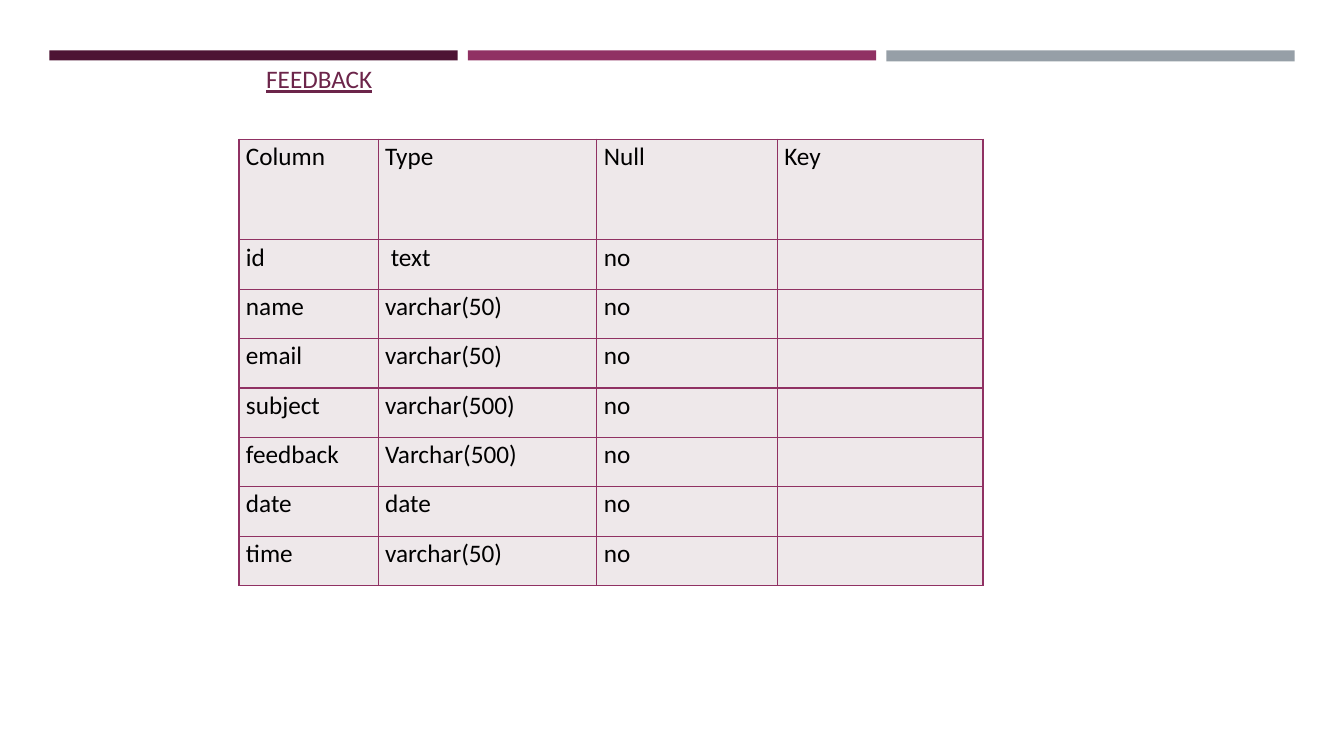
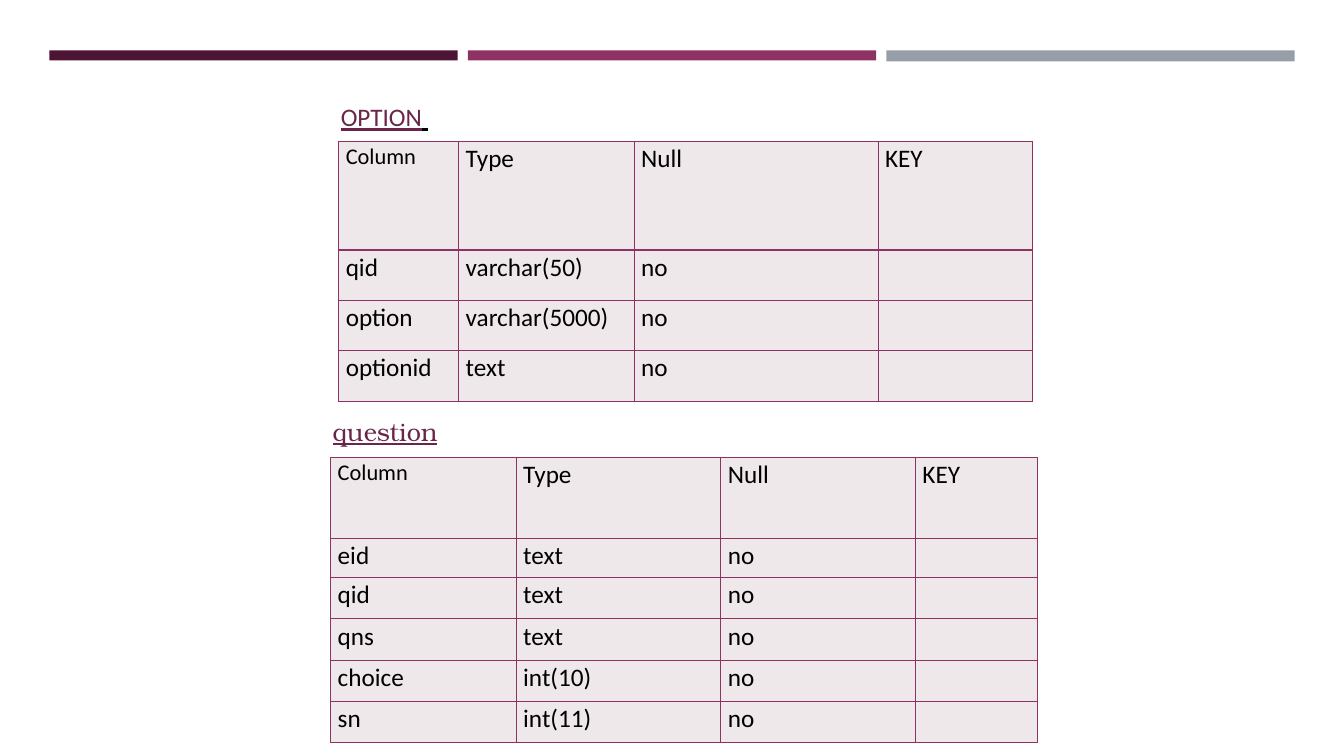
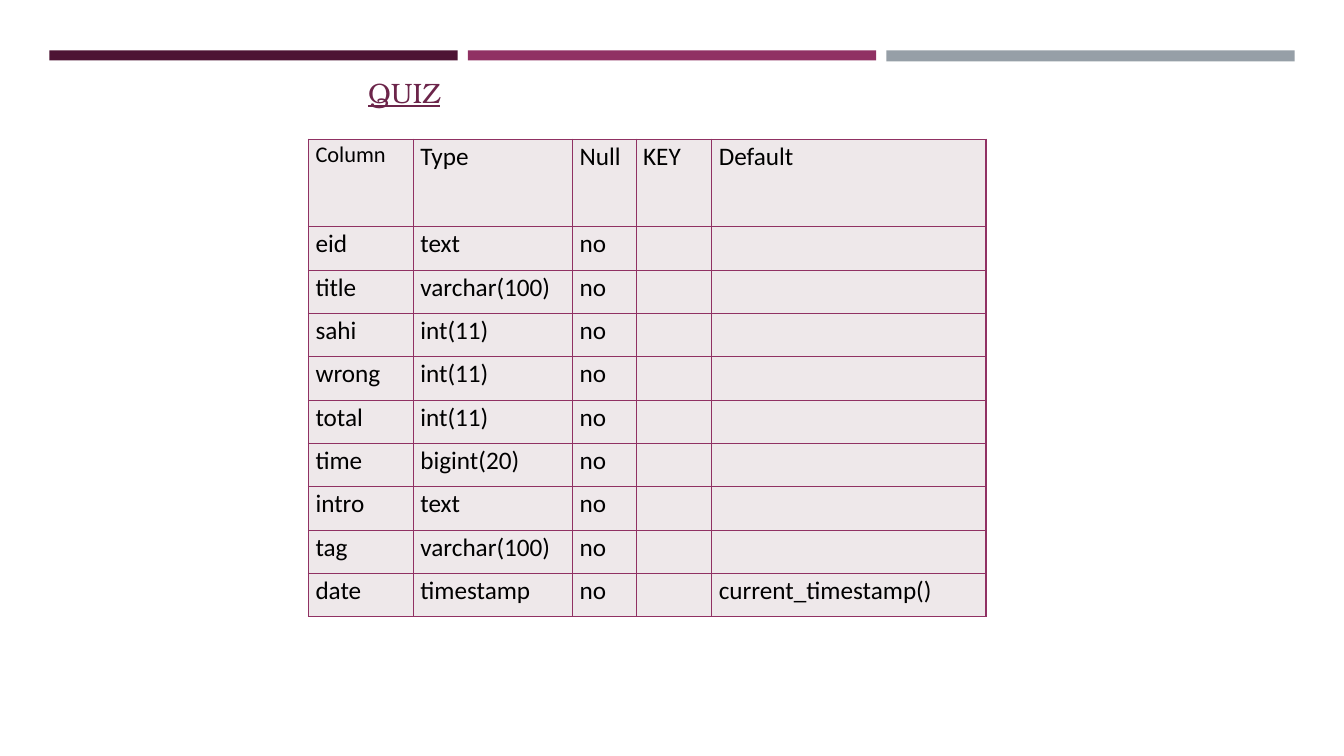
from dataclasses import dataclass

from lxml import etree
from pptx import Presentation
from pptx.dml.color import RGBColor
from pptx.enum.shapes import MSO_SHAPE
from pptx.enum.text import MSO_ANCHOR, MSO_AUTO_SIZE, PP_ALIGN
from pptx.oxml.ns import qn
from pptx.util import Inches, Pt

RECTANGLE = MSO_SHAPE.RECTANGLE
TOP = MSO_ANCHOR.TOP
NO_AUTOFIT = MSO_AUTO_SIZE.NONE
LEFT = PP_ALIGN.LEFT
TITLE_ONLY = 5
BORDER_SIDES = ("a:lnL", "a:lnR", "a:lnT", "a:lnB")


@dataclass(frozen=True)
class Theme:
    plum: str = "4D1434"
    magenta: str = "903163"
    gray: str = "969FA7"
    heading: str = "6C254A"
    text: str = "000000"
    cell: str = "EEE8EA"
    sans: str = "Calibri"
    serif: str = "TeX Gyre Bonum"
    small: int = 16
    body: int = 18
    large: int = 20
    border: int = 1
    line_spacing: float = 1.07


THEME = Theme()


def color(value):
    return RGBColor.from_string(value)


def format_font(font, name, size, value):
    font.name = name
    font.size = Pt(size)
    font.color.rgb = color(value)


def add_bands(slide, layout, left=0.49, top=0.5, width=4.05, gap=0.1):
    bands = ((THEME.plum, 0.1), (THEME.magenta, 0.1), (THEME.gray, 0.11))
    for index, (fill, height) in enumerate(bands):
        band = slide.shapes.add_shape(
            RECTANGLE,
            Inches(left + index * (width + gap)),
            Inches(top),
            Inches(width),
            Inches(height),
        )
        band.shadow.inherit = False
        band.fill.solid()
        band.fill.fore_color.rgb = color(fill)
        band.line.fill.background()
        band.name = f"Band {index + 1}"
        band.element.nvSpPr.cNvPr.set("id", str(100 + index))
        layout.shapes.element.append(band.element)


def format_heading(shape, box, text, font_name, size):
    shape.left, shape.top, shape.width, shape.height = map(Inches, box)
    frame = shape.text_frame
    frame.word_wrap = True
    frame.auto_size = NO_AUTOFIT
    frame.vertical_anchor = TOP
    paragraph = frame.paragraphs[0]
    paragraph.alignment = LEFT
    format_font(paragraph.font, font_name, size, THEME.heading)
    paragraph.font.underline = True
    paragraph.add_run().text = text
    return paragraph


def set_borders(cell):
    properties = cell._tc.get_or_add_tcPr()
    for index, side in enumerate(BORDER_SIDES):
        line = etree.Element(qn(side), w=str(Pt(THEME.border)))
        fill = etree.SubElement(line, qn("a:solidFill"))
        etree.SubElement(fill, qn("a:srgbClr"), val=THEME.magenta)
        properties.insert(index, line)


def format_cell(cell, text, size):
    cell.margin_left = cell.margin_right = Inches(0.07)
    cell.margin_top = cell.margin_bottom = 0
    cell.fill.solid()
    cell.fill.fore_color.rgb = color(THEME.cell)
    set_borders(cell)
    cell.text = text
    paragraph = cell.text_frame.paragraphs[0]
    paragraph.line_spacing = THEME.line_spacing
    format_font(paragraph.font, THEME.sans, size, THEME.text)


def add_schema_table(slide, left, top, widths, heights, records, first_size=THEME.small):
    table = slide.shapes.add_table(
        len(records),
        len(widths),
        Inches(left),
        Inches(top),
        Inches(sum(widths)),
        Inches(sum(heights)),
    ).table
    table.first_row = False
    table.horz_banding = False
    for column, width in zip(table.columns, widths):
        column.width = Inches(width)
    for row, height, record in zip(table.rows, heights, records):
        row.height = Inches(height)
        for index, cell in enumerate(row.cells):
            text = record[index] if index < len(record) else ""
            format_cell(cell, text, THEME.body)
    table.cell(0, 0).text_frame.paragraphs[0].font.size = Pt(first_size)


def fill_feedback(slide):
    format_heading(
        slide.shapes.title, (2.54, 0.58, 1.98, 0.71), "FEEDBACK", THEME.sans, THEME.body
    )
    records = (
        ("Column", "Type", "Null", "Key"),
        ("id", " text", "no"),
        ("name", "varchar(50)", "no"),
        ("email", "varchar(50)", "no"),
        ("subject", "varchar(500)", "no"),
        ("feedback", "Varchar(500)", "no"),
        ("date", "date", "no"),
        ("time", "varchar(50)", "no"),
    )
    add_schema_table(
        slide, 2.37, 1.38, (1.38, 2.17, 1.79, 2.04), [1] + [0.49] * 7, records, THEME.body
    )


def fill_option_and_question(slide):
    heading = format_heading(
        slide.shapes.title, (3.28, 0.96, 8.49, 0.71), "OPTION", THEME.sans, THEME.body
    )
    space = heading.add_run()
    space.text = " "
    space.font.color.rgb = color(THEME.text)
    option_records = (
        ("Column", "Type", "Null", "KEY"),
        ("qid", "varchar(50)", "no"),
        ("option", "varchar(5000)", "no"),
        ("optionid", "text", "no"),
    )
    add_schema_table(
        slide, 3.36, 1.4, (1.19, 1.74, 2.42, 1.53), [1.08] + [0.5] * 3, option_records
    )
    question_box = (3.2, 4.08, 1.26, 0.4)
    question = slide.shapes.add_textbox(*map(Inches, question_box))
    format_heading(question, question_box, "question", THEME.serif, THEME.body)
    question_records = (
        ("Column", "Type", "Null", "KEY"),
        ("eid", "text", "no"),
        ("qid", "text", "no"),
        ("qns", "text", "no"),
        ("choice", "int(10)", "no"),
        ("sn", "int(11)", "no"),
    )
    add_schema_table(
        slide, 3.28, 4.54, (1.84, 2.03, 1.93, 1.21), [0.8, 0.39] + [0.41] * 4, question_records
    )


def fill_quiz(slide):
    format_heading(
        slide.shapes.title, (3.55, 0.7, 0.92, 0.44), "QUIZ", THEME.serif, THEME.large
    )
    records = (
        ("Column", "Type", "Null", "KEY", "Default"),
        ("eid", "text", "no"),
        ("title", "varchar(100)", "no"),
        ("sahi", "int(11)", "no"),
        ("wrong", "int(11)", "no"),
        ("total", "int(11)", "no"),
        ("time", "bigint(20)", "no"),
        ("intro", "text", "no"),
        ("tag", "varchar(100)", "no"),
        ("date", "timestamp", "no", "", "current_timestamp()"),
    )
    add_schema_table(
        slide, 3.06, 1.38, (1.04, 1.58, 0.63, 0.75, 2.72), [0.87] + [0.43] * 9, records
    )


def main():
    presentation = Presentation()
    presentation.slide_width = Inches(13.33)
    presentation.slide_height = Inches(7.5)
    layout = presentation.slide_layouts[TITLE_ONLY]
    fillers = (fill_feedback, fill_option_and_question, fill_quiz)
    slides = [presentation.slides.add_slide(layout) for _ in fillers]
    add_bands(slides[0], layout)
    for fill_slide, slide in zip(fillers, slides):
        fill_slide(slide)
    presentation.save("out.pptx")


if __name__ == "__main__":
    main()
